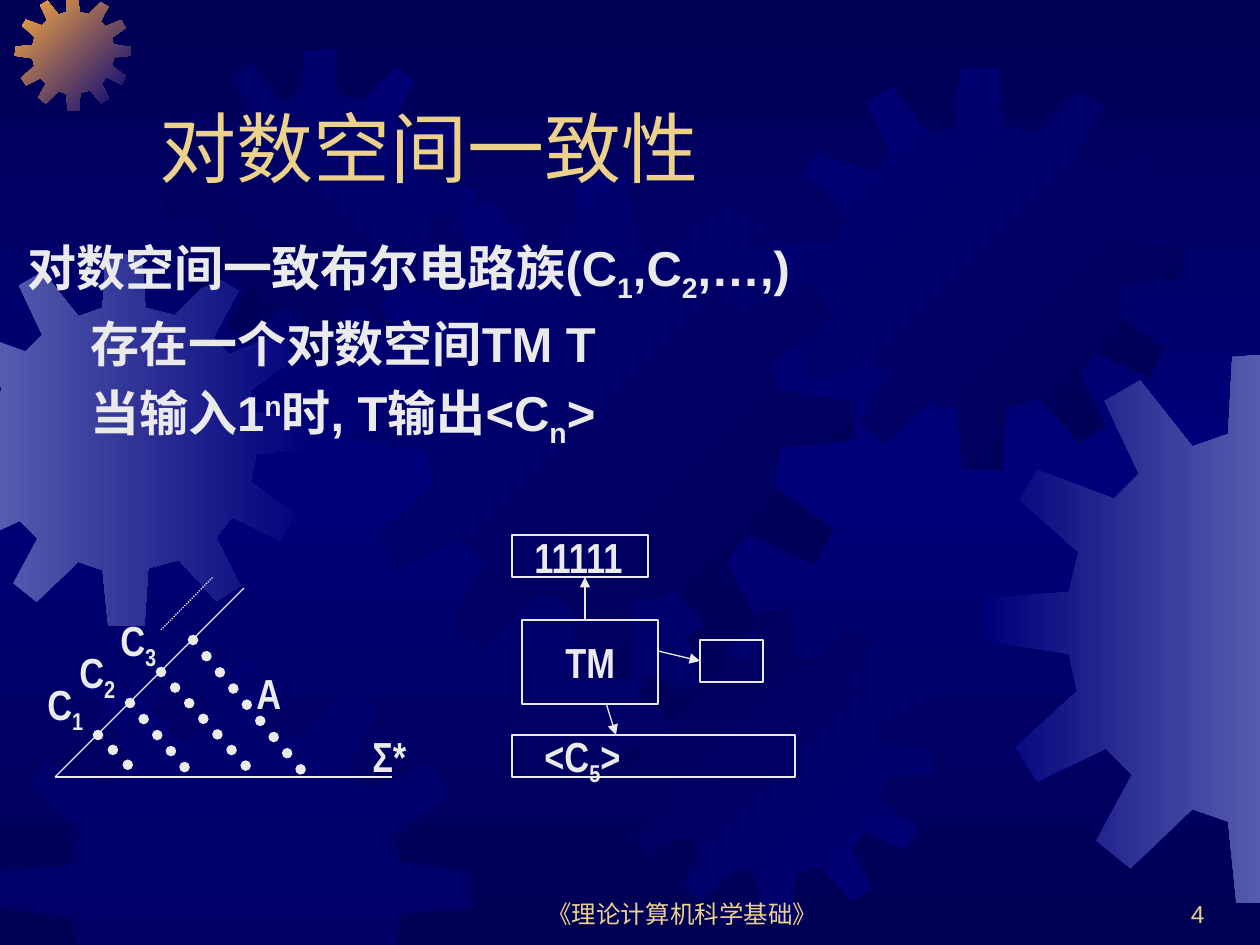
"""Build the slide on log-space uniformity of Boolean circuit families."""
from copy import deepcopy
from pptx import Presentation
from pptx.dml.color import RGBColor
from pptx.enum.dml import MSO_LINE
from pptx.enum.shapes import MSO_CONNECTOR, MSO_SHAPE
from pptx.enum.text import MSO_ANCHOR, PP_ALIGN
from pptx.oxml.ns import qn
from pptx.util import Emu, Pt

LINE, RECT, DOT = MSO_CONNECTOR.STRAIGHT, MSO_SHAPE.RECTANGLE, MSO_LINE.ROUND_DOT
TOP, BOTTOM = MSO_ANCHOR.TOP, MSO_ANCHOR.BOTTOM
LEFT, CENTER, RIGHT = PP_ALIGN.LEFT, PP_ALIGN.CENTER, PP_ALIGN.RIGHT
PX = 7257.14
WIDE, HIGH = 1260, 945
HUES = {"dark": "000054", "blue": "00007A", "haze": "555BAD",
        "sun": "FCAB40", "gold": "EBD189", "pale": "EAEAEA"}

TOOTH = 401
GEAR = [
    (255, 67), (223, 59), (219, 0), (180, 3), (177, 59), (151, 68),
    (113, 20), (87, 35), (112, 88), (94, 106), (38, 85), (25, 107),
    (68, 145), (61, 174), (1, 178), (0, 210), (61, 219), (67, 246),
    (22, 287), (38, 312), (88, 288), (107, 307), (81, 355), (106, 375),
    (151, 332), (177, 341), (183, 400), (222, 401), (226, 339), (259, 330),
    (299, 374), (325, 358), (299, 306), (316, 284), (368, 309), (384, 281),
    (336, 246), (342, 216), (401, 210), (400, 180), (341, 171), (335, 148),
    (383, 114), (367, 87), (313, 109), (296, 91), (323, 41), (297, 25)]
GEARS = [
    (-62, 253, 373, ("haze", "blue"), 0),
    (15, -5, 116, ("sun", "blue"), 45),
    (164, 49, 312, ("dark", "blue"), 315),
    (349, 175, 506, ("blue", "dark"), 45),
    (0, 661, 471, ("blue",), 0),
    (619, 610, 312, ("dark", "blue"), 45),
    (779, 67, 403, ("blue", "dark"), 45),
    (985, 353, 551, ("blue", "haze"), 0)]

TITLE = [(0, [("对数空间一致性", 0)])]
FOOTER = [(0, [("《理论计算机科学基础》", 0)])]
PAGE = [(0, [("4", 0)])]
BODY = [
    (0, [("对数空间一致布尔电路族(C", 0), ("1", -25), (",C", 0), ("2", -25), (",…,)", 0)]),
    (63, [("存在一个对数空间TM T", 0)]),
    (63, [("当输入1", 0), ("n", 30), ("时, T输出<C", 0), ("n", -25), (">", 0)])]

AXES = [(244, 588, 55, 777), (55, 777, 392, 777)]
RAYS = [(130, 703, 193, 777), (161, 672, 256, 777),
        (193, 640, 307, 777), (98, 735, 140, 777)]
TREND = (161, 630, 213, 577)
MARKS = [
    (244, 661, 63, [("A", 0)]),
    (360, 724, 73, [("Σ*", 0)]),
    (35, 672, 73, [("C", 0), ("1", -25)]),
    (67, 640, 73, [("C", 0), ("2", -25)]),
    (108, 608, 73, [("C", 0), ("3", -25)])]
BOXES = [(522, 620, 136, 84), (512, 535, 136, 42),
         (700, 640, 63, 42), (512, 735, 283, 42)]
NAMES = [
    (553, 630, 84, [("TM", 0)]),
    (522, 525, 126, [("11111", 0)]),
    (532, 724, 116, [("<C", 0), ("5", -25), (">", 0)])]
ARROWS = [(585, 620, 585, 577), (606, 703, 616, 735), (658, 651, 700, 661)]


def px(*vals):
    return [Emu(round(v * PX)) for v in vals]


def hue(name):
    return RGBColor.from_string(HUES[name])


def blend(fill, names, angle):
    fill.gradient_angle = -angle % 360
    for i, (stop, name) in enumerate(zip(fill.gradient_stops, names)):
        stop.position = i / (len(names) - 1)
        stop.color.rgb = hue(name)


def clip(pts, axis, edge, sign):
    kept = []
    for a, b in zip(pts[-1:] + pts[:-1], pts):
        da, db = sign * (a[axis] - edge), sign * (b[axis] - edge)
        if da * db < 0:
            t = da / (da - db)
            kept.append(tuple(p + t * (q - p) for p, q in zip(a, b)))
        if db >= 0:
            kept.append(b)
    return kept


def add_gear(shapes, x, y, size, names, angle):
    pts = [(x + u * size / TOOTH, y + v * size / TOOTH) for u, v in GEAR]
    for axis, edge, sign in ((0, 0, 1), (0, WIDE, -1), (1, 0, 1), (1, HIGH, -1)):
        pts = clip(pts, axis, edge, sign)
    pts = [tuple(px(*p)) for p in pts]
    pen = shapes.build_freeform(*pts[0])
    pen.add_line_segments(pts[1:], close=True)
    gear = pen.convert_to_shape()
    gear.shadow.inherit = False
    gear.line.fill.background()
    if len(names) > 1:
        gear.fill.gradient()
        blend(gear.fill, names, angle)
    else:
        gear.fill.solid()
        gear.fill.fore_color.rgb = hue(names[0])
        tint = next(gear.element.spPr.iter(qn("a:srgbClr")))
        tint.makeelement(qn("a:alpha"), {})
        alpha = tint.makeelement(qn("a:alpha"), {"val": "50000"})
        tint.append(alpha)


def add_text(shapes, box, paras, size, color="pale", face="Arial",
             bold=False, align=LEFT, anchor=TOP, gap=0):
    frame = shapes.add_textbox(*px(*box)).text_frame
    frame.word_wrap = True
    frame.vertical_anchor = anchor
    for i, (indent, runs) in enumerate(paras):
        para = frame.add_paragraph() if i else frame.paragraphs[0]
        para.alignment = align
        para.space_before = Pt(gap)
        font = para.font
        font.size, font.name, font.bold = Pt(size), face, bold
        font.color.rgb = hue(color)
        para._p.get_or_add_pPr().set("marL", str(px(indent)[0]))
        for text, base in runs:
            run = para.add_run()
            run.text = text
            if base:
                run._r.get_or_add_rPr().set("baseline", str(base * 1000))


def add_label(shapes, x, y, width, runs):
    add_text(shapes, (x, y, width, 63), [(0, runs)], 24,
             face="Arial Narrow", bold=True)


def add_line(shapes, ends, width=0.75, dots=False, arrow=False):
    line = shapes.add_connector(LINE, *px(*ends))
    line.line.color.rgb = hue("pale")
    line.line.width = Pt(width)
    if dots:
        line.line.dash_style = DOT
    props = line._element.spPr
    stroke = props.find(qn("a:ln"))
    if width > 1:
        stroke.set("cap", "rnd")
    if arrow:
        stroke.append(stroke.makeelement(qn("a:tailEnd"), {"type": "triangle"}))
    props.append(props.makeelement(qn("a:effectLst"), {}))


def add_box(shapes, box):
    rect = shapes.add_shape(RECT, *px(*box))
    rect.shadow.inherit = False
    rect.fill.background()
    rect.line.color.rgb = hue("pale")
    rect.line.width = Pt(0.75)


def main():
    deck = Presentation()
    deck.slide_width, deck.slide_height = px(WIDE, HIGH)
    slide = deck.slides.add_slide(deck.slide_layouts[6])
    back = slide.background.fill
    back.gradient()
    stops = next(slide.element.iter(qn("a:gsLst")))
    stops.append(deepcopy(stops[0]))
    blend(back, ("dark", "blue", "dark"), 90)

    shapes = slide.shapes
    for gear in GEARS:
        add_gear(shapes, *gear)
    add_text(shapes, (483, 872, 399, 63), FOOTER, 14, "gold", align=CENTER, anchor=BOTTOM)
    add_text(shapes, (955, 872, 262, 63), PAGE, 14, "gold", align=RIGHT, anchor=BOTTOM)
    add_text(shapes, (147, 42, 1071, 157), TITLE, 44, "gold", anchor=BOTTOM)
    add_text(shapes, (15, 231, 1071, 294), BODY, 28, bold=True, gap=5.6)

    graph = shapes.add_group_shape().shapes
    for ends in AXES:
        add_line(graph, ends)
    for ends in RAYS:
        add_line(graph, ends, width=6, dots=True)
    for mark in MARKS:
        add_label(graph, *mark)
    add_line(graph, TREND, dots=True)

    device = shapes.add_group_shape().shapes
    for box in BOXES:
        add_box(device, box)
    for name in NAMES:
        add_label(device, *name)
    for ends in ARROWS:
        add_line(device, ends, arrow=True)
    deck.save("out.pptx")


if __name__ == "__main__":
    main()
